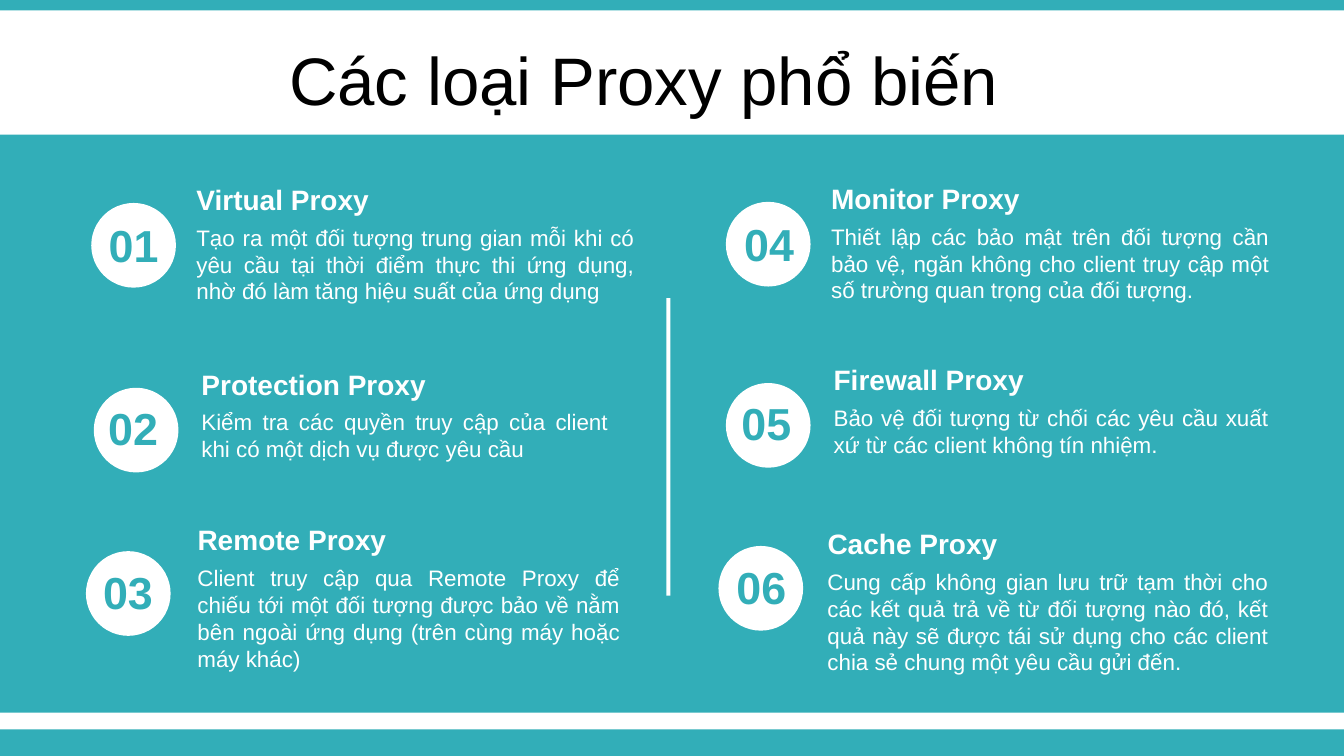
from pptx import Presentation
from pptx.dml.color import RGBColor
from pptx.enum.shapes import MSO_SHAPE
from pptx.enum.text import MSO_ANCHOR, MSO_AUTO_SIZE, PP_ALIGN
from pptx.util import Pt

TEAL = RGBColor(0x32, 0xAE, 0xB8)
WHITE = RGBColor(0xFF, 0xFF, 0xFF)
BLACK = RGBColor(0x00, 0x00, 0x00)
FONT = "Arial"
WIDTH, HEIGHT = 960, 540

TITLE = "Các loại Proxy phổ biến"
# heading, description, its line count, circle (left, top),
# number (left, top), text (left, top, width)
PROXIES = [
    ("Virtual Proxy",
     "Tạo ra một đối tượng trung gian mỗi khi có yêu cầu tại thời điểm thực thi "
     "ứng dụng, nhờ đó làm tăng hiệu suất của ứng dụng",
     3, (65.2, 145), (61.6, 152), (133.2, 126.7, 327)),
    ("Protection Proxy",
     "Kiểm tra các quyền truy cập của client khi có một dịch vụ được yêu cầu",
     2, (67, 277), (61.2, 283), (136.8, 258.7, 304.6)),
    ("Remote Proxy",
     "Client truy cập qua Remote Proxy để chiếu tới một đối tượng được bảo về nằm "
     "bên ngoài ứng dụng (trên cùng máy hoặc máy khác)",
     4, (61.4, 393.7), (57.6, 399.6), (134, 370, 316)),
    ("Monitor Proxy",
     "Thiết lập các bảo mật trên đối tượng cần bảo vệ, ngăn không cho client truy "
     "cập một số trường quan trọng của đối tượng.",
     3, (518.5, 144.2), (515.5, 151.2), (586.6, 126, 327)),
    ("Firewall Proxy",
     "Bảo vệ đối tượng từ chối các yêu cầu xuất xứ từ các client không tín nhiệm.",
     2, (518.5, 273.6), (513.6, 279.4), (588.4, 255.4, 324.7)),
    ("Cache Proxy",
     "Cung cấp không gian lưu trữ tạm thời cho các kết quả trả về từ đối tượng nào "
     "đó, kết quả này sẽ được tái sử dụng cho các client chia sẻ chung một yêu cầu "
     "gửi đến.",
     4, (513.2, 390), (510, 396), (584, 372.6, 329)),
]
CIRCLE_SIZE = 60.5
HEADING_WIDTH = 279.4
DESCRIPTION_DROP = 29.6
LINE_HEIGHT, PADDING = 19.4, 7.2


def add_solid(slide, kind, left, top, width, height, color):
    shape = slide.shapes.add_shape(kind, Pt(left), Pt(top), Pt(width), Pt(height))
    shape.fill.solid()
    shape.fill.fore_color.rgb = color
    shape.line.fill.background()
    shape.shadow.inherit = False


def format_paragraph(paragraph, size, color, bold, alignment):
    paragraph.alignment = alignment
    paragraph.font.name = FONT
    paragraph.font.size = Pt(size)
    paragraph.font.bold = bold
    paragraph.font.color.rgb = color


def add_text(slide, text, left, top, width, height, size, color, bold, alignment):
    box = slide.shapes.add_textbox(Pt(left), Pt(top), Pt(width), Pt(height))
    frame = box.text_frame
    frame.word_wrap = True
    frame.auto_size = MSO_AUTO_SIZE.SHAPE_TO_FIT_TEXT
    frame.text = text
    format_paragraph(frame.paragraphs[0], size, color, bold, alignment)


def add_title(slide):
    title = slide.shapes.title
    title.left, title.top = Pt(-20), Pt(26)
    title.width, title.height = Pt(WIDTH), Pt(60.5)
    frame = title.text_frame
    frame.text = TITLE
    frame.word_wrap = True
    frame.auto_size = MSO_AUTO_SIZE.NONE
    frame.vertical_anchor = MSO_ANCHOR.MIDDLE
    paragraph = frame.paragraphs[0]
    paragraph.space_before = Pt(6)
    format_paragraph(paragraph, 48, BLACK, False, PP_ALIGN.CENTER)


def add_proxy(slide, number, proxy):
    heading, description, lines, circle, number_at, (left, top, width) = proxy
    add_solid(slide, MSO_SHAPE.OVAL, *circle, CIRCLE_SIZE, CIRCLE_SIZE, WHITE)
    add_text(slide, f"{number:02}", *number_at, 67.7, 46,
             32, TEAL, True, PP_ALIGN.CENTER)
    add_text(slide, heading, left, top, HEADING_WIDTH, 31.5,
             20, WHITE, True, PP_ALIGN.LEFT)
    add_text(slide, description, left, top + DESCRIPTION_DROP, width,
             lines * LINE_HEIGHT + PADDING, 16, WHITE, False, PP_ALIGN.JUSTIFY)


def main():
    presentation = Presentation()
    presentation.slide_width, presentation.slide_height = Pt(WIDTH), Pt(HEIGHT)
    slide = presentation.slides.add_slide(presentation.slide_layouts[5])
    add_title(slide)
    # Top strip, content panel and bottom strip
    for top, height in [(0, 7.5), (96.2, 412.8), (521, 19)]:
        add_solid(slide, MSO_SHAPE.RECTANGLE, 0, top, WIDTH, height, TEAL)
    for number, proxy in enumerate(PROXIES, start=1):
        add_proxy(slide, number, proxy)
    # Divider between the two columns
    add_solid(slide, MSO_SHAPE.RECTANGLE, 476, 213, 2.8, 212.5, WHITE)
    presentation.save("out.pptx")


if __name__ == "__main__":
    main()
